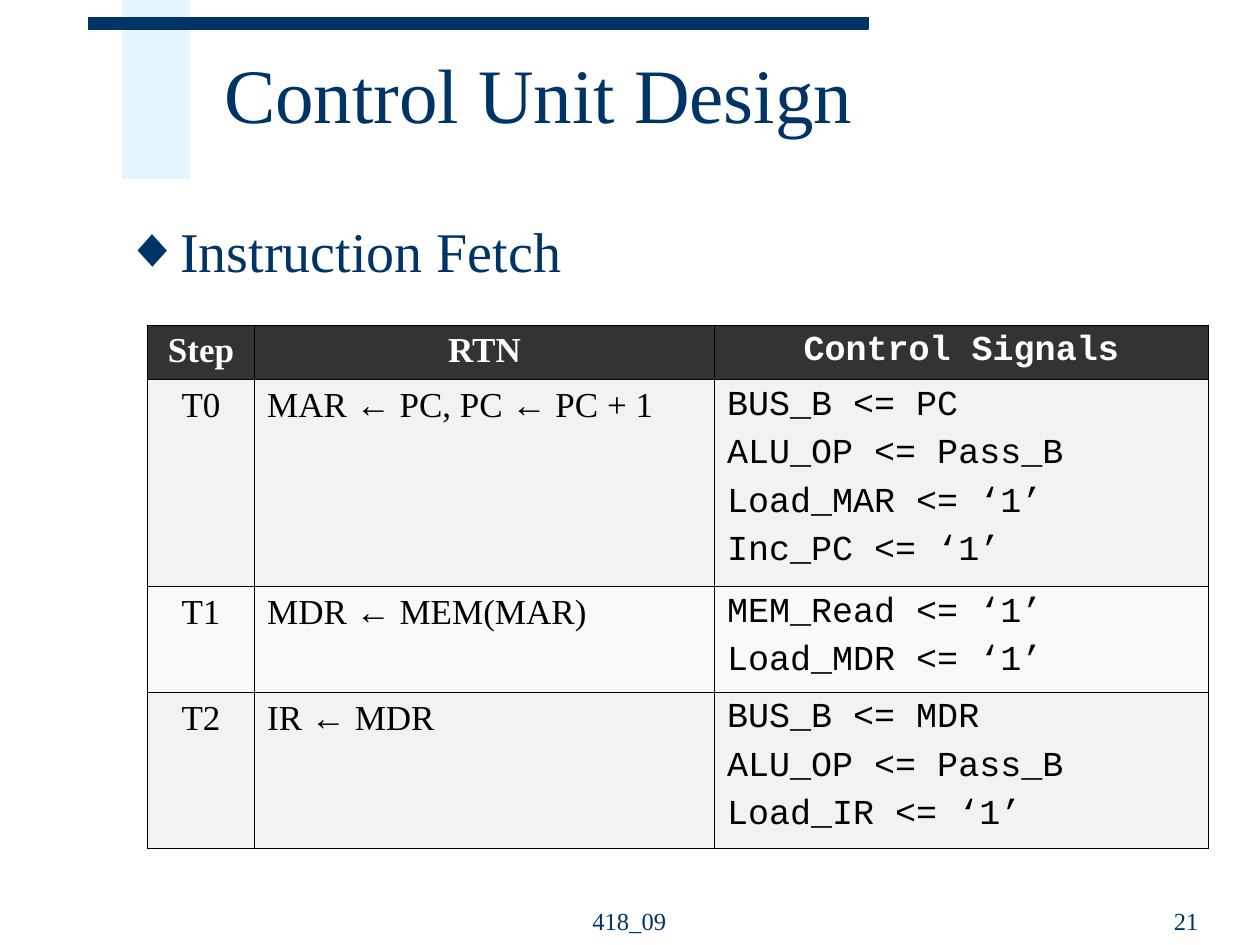
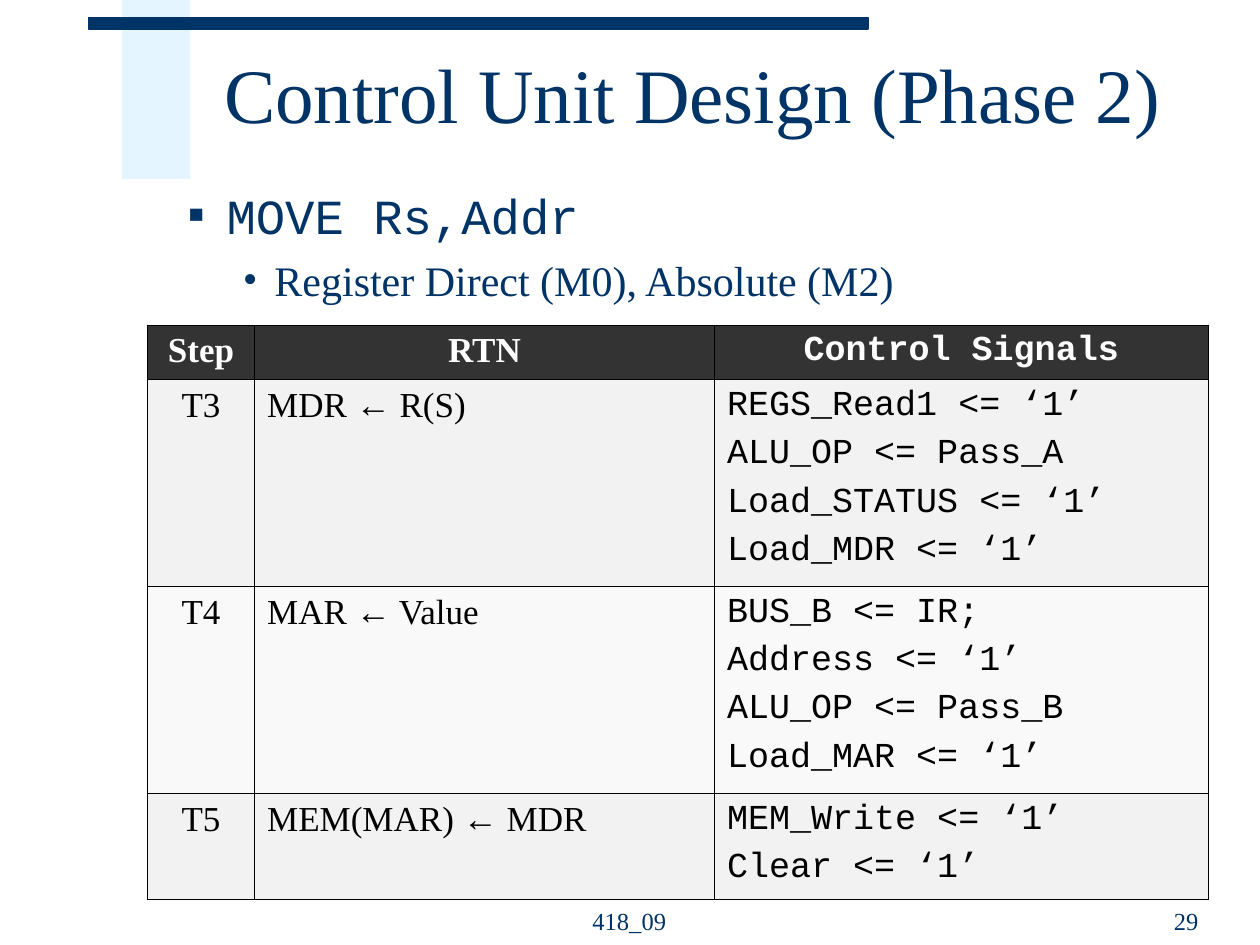
from lxml.etree import SubElement
from pptx import Presentation
from pptx.dml.color import RGBColor
from pptx.enum.shapes import MSO_SHAPE
from pptx.enum.text import MSO_ANCHOR, PP_ALIGN
from pptx.oxml.ns import qn
from pptx.util import Inches, Pt

COLORS = {
    "navy": "003366",
    "pale_blue": "CCECFF",
    "header": "333333",
    "odd_row": "F2F2F2",
    "even_row": "F9F9F9",
    "white": "FFFFFF",
    "black": "000000",
}
SERIF, MONO, ARROW_FONT = "Times New Roman", "Courier New", "Arial"
ARROW = "←"

# Per outline level: bullet, text indent, hanging, space before
BULLETS = [
    ("◆", 0.38, 0.38, 8),
    ("▪", 0.81, 0.31, 7),
    ("•", 1.19, 0.25, 6),
]

COLUMN_WIDTHS = [0.85, 3.65, 3.92]
COLUMN_FONTS = [SERIF, SERIF, MONO]
COLUMN_ALIGNMENTS = [PP_ALIGN.CENTER, PP_ALIGN.LEFT, PP_ALIGN.LEFT]
HEADINGS = ["Step", "RTN", "Control Signals"]
HEADER_HEIGHT, LINE_HEIGHT, ROW_PADDING = 0.43, 0.4, 0.04

TITLE_BOX = (1.68, 0.17, 8.07, 1.25)
COURSE_BOX = (4.08, 6.97, 1.83, 0.5)
NUMBER_BOX = (7.21, 6.97, 2.4, 0.5)
TABLE_ORIGIN = (1.17, 2.58)

SLIDES = [
    {
        "title": "Control Unit Design",
        "number": "21",
        "outline_box": (0.89, 1.67, 8.7, 5),
        "outline": [(0, "Instruction Fetch", SERIF, 32)],
        "steps": [
            ("T0", "MAR ← PC, PC ← PC + 1",
             ["BUS_B <= PC", "ALU_OP <= Pass_B", "Load_MAR <= ‘1’", "Inc_PC <= ‘1’"]),
            ("T1", "MDR ← MEM(MAR)", ["MEM_Read <= ‘1’", "Load_MDR <= ‘1’"]),
            ("T2", "IR ← MDR",
             ["BUS_B <= MDR", "ALU_OP <= Pass_B", "Load_IR <= ‘1’"]),
        ],
    },
    {
        "title": "Control Unit Design (Phase 2)",
        "number": "29",
        "outline_box": (0.89, 1.42, 8.7, 5),
        "outline": [
            (1, "MOVE Rs,Addr", MONO, 28),
            (2, "Register Direct (M0), Absolute (M2)", SERIF, 24),
        ],
        "steps": [
            ("T3", "MDR ← R(S)",
             ["REGS_Read1 <= ‘1’", "ALU_OP <= Pass_A", "Load_STATUS <= ‘1’",
              "Load_MDR <= ‘1’"]),
            ("T4", "MAR ← Value",
             ["BUS_B <= IR;", "Address <= ‘1’", "ALU_OP <= Pass_B", "Load_MAR <= ‘1’"]),
            ("T5", "MEM(MAR) ← MDR", ["MEM_Write <= ‘1’", "Clear <= ‘1’"]),
        ],
    },
]


def color(name):
    return RGBColor.from_string(COLORS[name])


def inches(lengths):
    return [Inches(length) for length in lengths]


def format_run(run, font, size, color_name, bold=False):
    run.font.name = font
    run.font.size = Pt(size)
    run.font.bold = bold
    run.font.color.rgb = color(color_name)


def add_text_frame(slide, box, anchor):
    text_frame = slide.shapes.add_textbox(*inches(box)).text_frame
    text_frame.word_wrap = True
    text_frame.vertical_anchor = anchor
    return text_frame


def add_line_of_text(slide, box, text, size, anchor, alignment=PP_ALIGN.LEFT):
    paragraph = add_text_frame(slide, box, anchor).paragraphs[0]
    paragraph.text = text
    paragraph.alignment = alignment
    format_run(paragraph.runs[0], SERIF, size, "navy")
    return paragraph


def add_band(slide, box, color_name):
    band = slide.shapes.add_shape(MSO_SHAPE.RECTANGLE, *inches(box))
    band.shadow.inherit = False
    band.fill.solid()
    band.fill.fore_color.rgb = color(color_name)
    return band


def add_bands(slide):
    column = add_band(slide, (0.97, 0, 0.54, 1.42), "pale_blue")
    column.line.fill.background()
    fill_color = column.fill._xPr.find(qn("a:solidFill"))[0]
    SubElement(fill_color, qn("a:alpha"), val="50000")
    bar = add_band(slide, (0.7, 0.14, 6.19, 0.09), "navy")
    bar.line.color.rgb = color("navy")
    bar.line.width = Pt(0.75)


def add_bullet(paragraph, level):
    character, indent, hanging, _ = BULLETS[level]
    properties = paragraph._p.get_or_add_pPr()
    properties.set("marL", str(Inches(indent)))
    properties.set("indent", str(-Inches(hanging)))
    bullet_color = SubElement(properties, qn("a:buClr"))
    SubElement(bullet_color, qn("a:srgbClr"), val=COLORS["navy"])
    SubElement(properties, qn("a:buFont"), typeface=SERIF)
    SubElement(properties, qn("a:buChar"), char=character)


def add_outline(slide, box, items):
    text_frame = add_text_frame(slide, box, MSO_ANCHOR.TOP)
    for index, (level, text, font, size) in enumerate(items):
        paragraph = text_frame.add_paragraph() if index else text_frame.paragraphs[0]
        paragraph.text = text
        paragraph.level = level
        add_bullet(paragraph, level)
        if index:
            paragraph.space_before = Pt(BULLETS[level][-1])
        format_run(paragraph.runs[0], font, size, "navy")


def add_borders(cell):
    properties = cell._tc.get_or_add_tcPr()
    for side in ("lnL", "lnR", "lnT", "lnB"):
        border = SubElement(properties, qn(f"a:{side}"), w=str(Pt(0.45)))
        fill = SubElement(border, qn("a:solidFill"))
        SubElement(fill, qn("a:srgbClr"), val=COLORS["black"])


def fill_cell(cell, lines, font, alignment, fill_name, text_color, bold):
    add_borders(cell)
    cell.fill.solid()
    cell.fill.fore_color.rgb = color(fill_name)
    cell.text_frame.text = "\n".join(lines)
    for index, paragraph in enumerate(cell.text_frame.paragraphs):
        text = paragraph.text
        paragraph.text = ""
        paragraph.alignment = alignment
        if index:
            paragraph.space_before = Pt(5)
        before, *rest = text.split(ARROW)
        pieces = [(before, font)]
        for piece in rest:
            pieces += [(ARROW, ARROW_FONT), (piece, font)]
        for piece, piece_font in pieces:
            run = paragraph.add_run()
            run.text = piece
            format_run(run, piece_font, 20, text_color, bold)


def add_step_table(slide, origin, steps):
    heights = [HEADER_HEIGHT] + [
        ROW_PADDING + LINE_HEIGHT * len(signals) for _, _, signals in steps
    ]
    size = (sum(COLUMN_WIDTHS), sum(heights))
    table = slide.shapes.add_table(
        len(heights), len(COLUMN_WIDTHS), *inches(origin + size)
    ).table
    table.horz_banding = False
    for column, width in zip(table.columns, COLUMN_WIDTHS):
        column.width = Inches(width)
    for row, height in zip(table.rows, heights):
        row.height = Inches(height)

    for index, heading in enumerate(HEADINGS):
        fill_cell(table.cell(0, index), [heading], COLUMN_FONTS[index],
                  PP_ALIGN.CENTER, "header", "white", True)
    for row_index, (step, transfer, signals) in enumerate(steps, start=1):
        fill_name = "odd_row" if row_index % 2 else "even_row"
        for index, lines in enumerate(([step], [transfer], signals)):
            fill_cell(table.cell(row_index, index), lines, COLUMN_FONTS[index],
                      COLUMN_ALIGNMENTS[index], fill_name, "black", False)


def add_footer(slide, number):
    add_line_of_text(slide, COURSE_BOX, "418_09", 14, MSO_ANCHOR.BOTTOM, PP_ALIGN.CENTER)
    add_line_of_text(slide, NUMBER_BOX, number, 14, MSO_ANCHOR.BOTTOM, PP_ALIGN.RIGHT)


def add_control_slide(presentation, content):
    slide = presentation.slides.add_slide(presentation.slide_layouts[6])
    add_bands(slide)
    title = add_line_of_text(slide, TITLE_BOX, content["title"], 44, MSO_ANCHOR.MIDDLE)
    title.line_spacing = 0.85
    add_outline(slide, content["outline_box"], content["outline"])
    add_footer(slide, content["number"])
    add_step_table(slide, TABLE_ORIGIN, content["steps"])


def main():
    presentation = Presentation()
    presentation.slide_width = Inches(10)
    presentation.slide_height = Inches(7.5)
    for content in SLIDES:
        add_control_slide(presentation, content)
    presentation.save("out.pptx")


if __name__ == "__main__":
    main()
